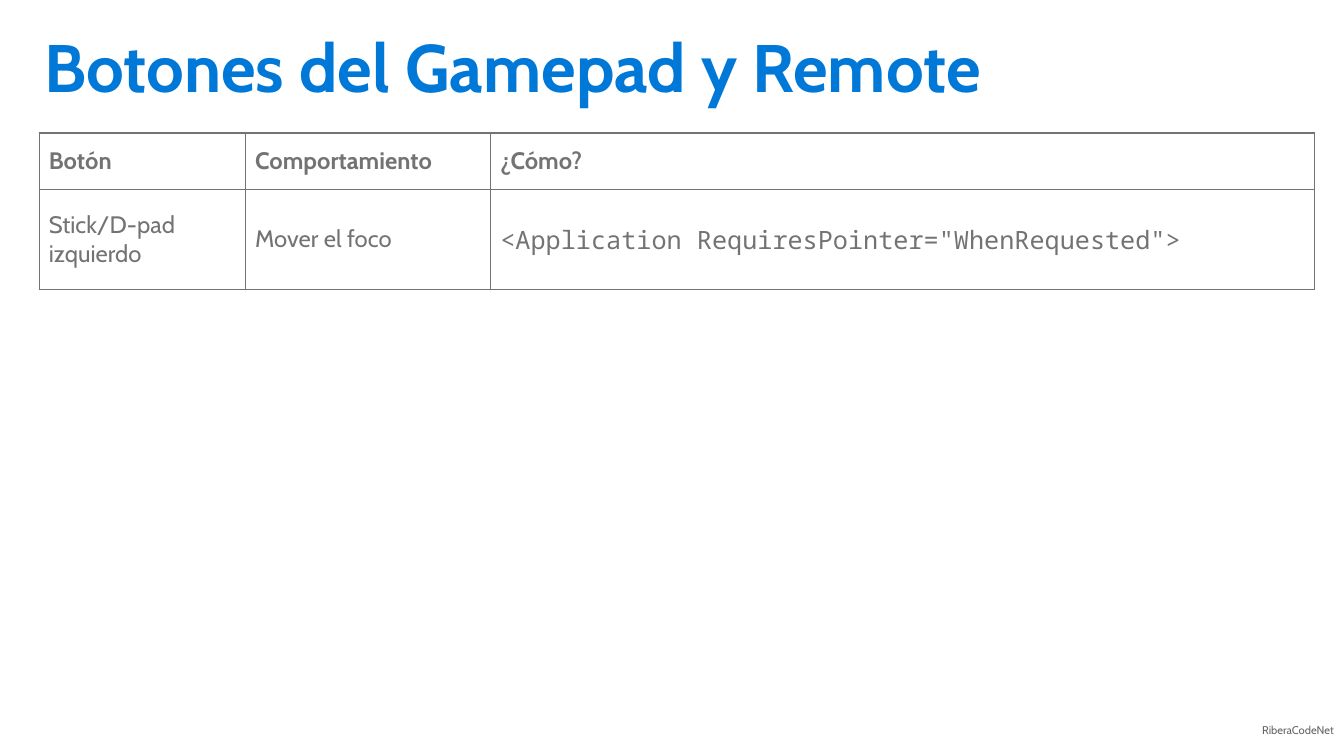
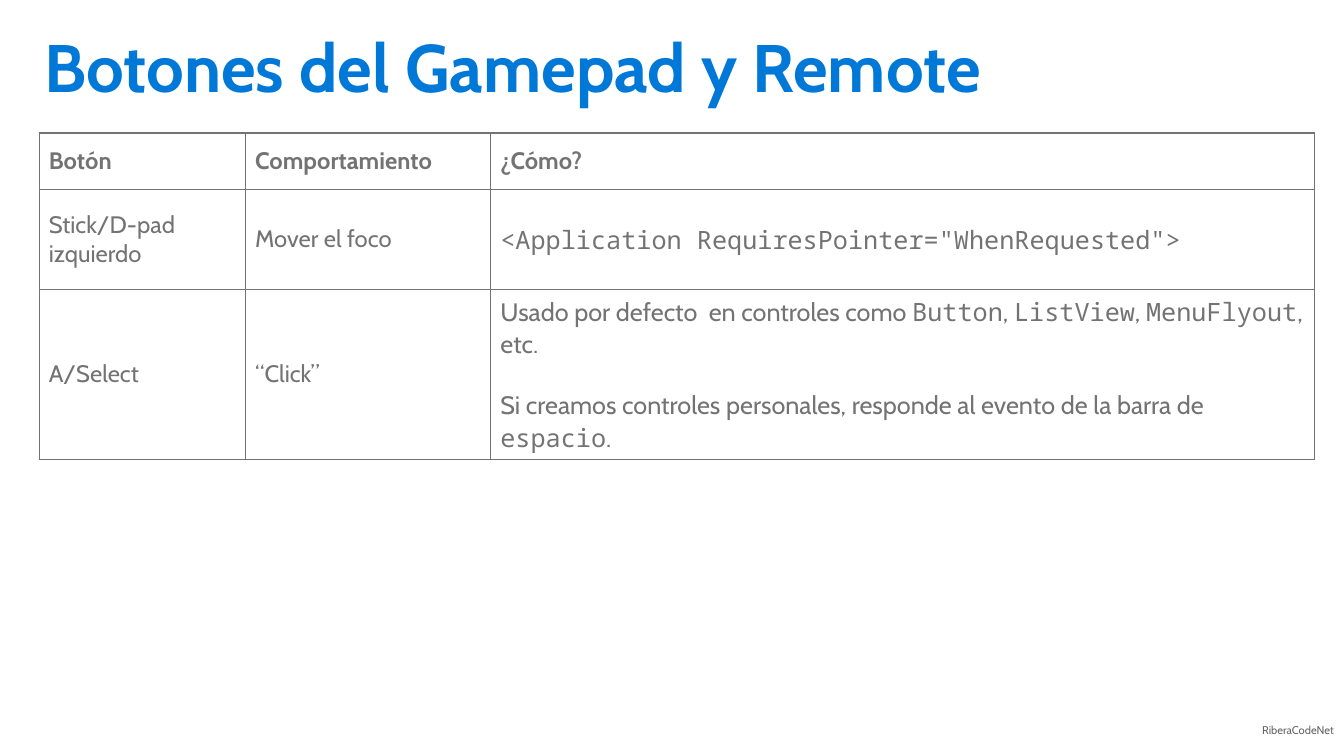
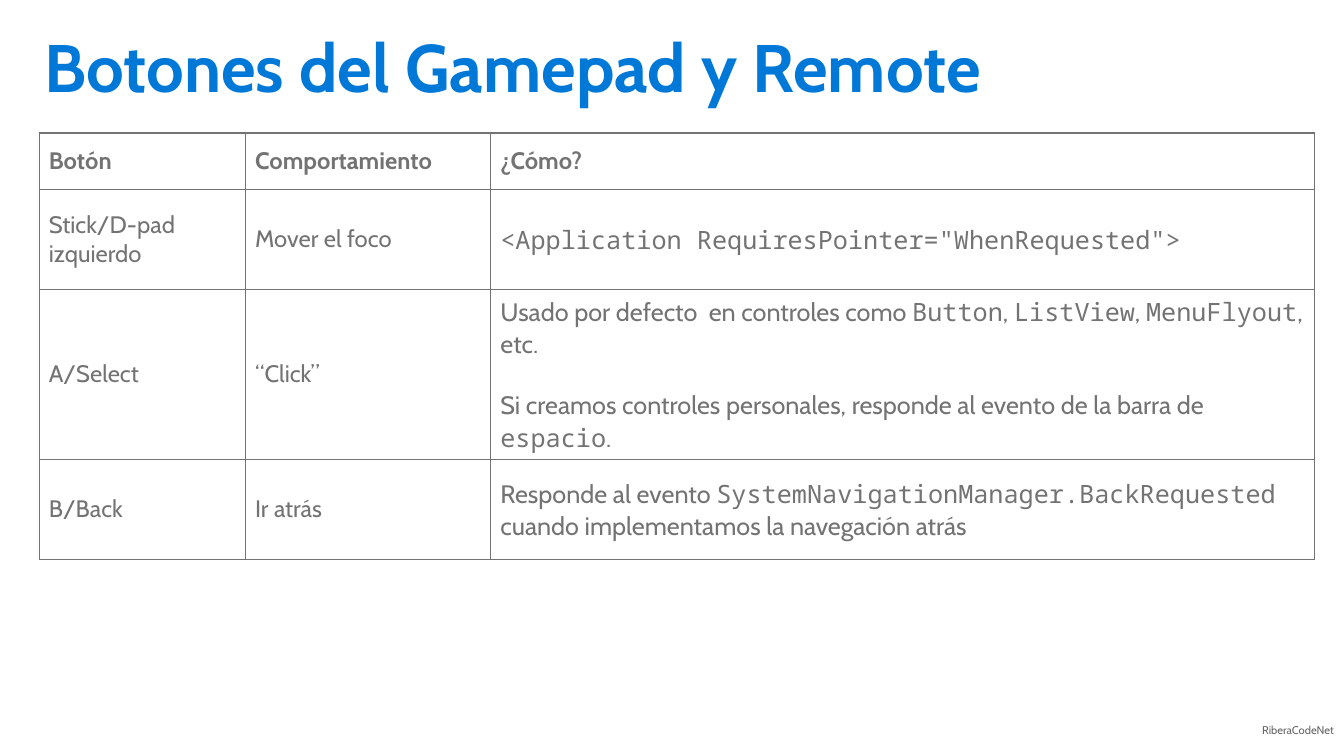
from dataclasses import dataclass

from lxml.etree import SubElement
from pptx import Presentation
from pptx.dml.color import RGBColor
from pptx.enum.text import MSO_ANCHOR, PP_ALIGN
from pptx.oxml.ns import qn
from pptx.util import Cm, Pt

TEXT_FONT = "Cabin"
CODE_FONT = "Noto Sans Mono"
BLUE = "0078D7"
GREY = "737373"
FOOTER_GREY = "666666"
TITLE = "Botones del Gamepad y Remote"
FOOTER = "RiberaCodeNet"
COLUMN_WIDTHS = (5.2, 6.18, 20.75)
BORDER_TAGS = ("a:lnL", "a:lnR", "a:lnT", "a:lnB")
BLANK_LAYOUT = 6


@dataclass(frozen=True)
class Piece:
    text: str
    size: float = 18
    font: str = TEXT_FONT
    color: str = GREY
    bold: bool = False


@dataclass(frozen=True)
class TableRow:
    height: float
    cells: tuple[list[list[Piece]], ...]


def label(text: str, bold: bool = False) -> list[list[Piece]]:
    return [[Piece(text, size=17, bold=bold)]]


def code(text: str) -> Piece:
    return Piece(text, font=CODE_FONT)


HEADER = TableRow(
    1.42,
    tuple(label(text, bold=True) for text in ("Botón", "Comportamiento", "¿Cómo?")),
)
BUTTON_ROWS = (
    TableRow(2.52, (
        label("Stick/D-pad izquierdo"),
        label("Mover el foco"),
        [[code('<Application RequiresPointer="WhenRequested">')]],
    )),
    TableRow(4.28, (
        label("A/Select"),
        label("“Click”"),
        [
            [
                Piece("Usado por defecto  en controles como "),
                code("Button"),
                Piece(", "),
                code("ListView"),
                Piece(", "),
                code("MenuFlyout"),
                Piece(", etc."),
            ],
            [
                Piece("Si creamos controles personales, responde al evento de la barra de "),
                code("espacio"),
                Piece("."),
            ],
        ],
    )),
    TableRow(2.52, (
        label("B/Back"),
        label("Ir atrás"),
        [[
            Piece("Responde al evento "),
            code("SystemNavigationManager.BackRequested "),
            Piece("cuando implementamos la navegación atrás"),
        ]],
    )),
)


def rgb(color: str) -> RGBColor:
    return RGBColor.from_string(color)


def add_pieces(paragraph, pieces: list[Piece]) -> None:
    for piece in pieces:
        run = paragraph.add_run()
        run.text = piece.text
        run.font.name = piece.font
        run.font.size = Pt(piece.size)
        run.font.bold = piece.bold
        run.font.color.rgb = rgb(piece.color)


def add_text(slide, left: float, top: float, width: float, height: float, piece: Piece):
    shape = slide.shapes.add_textbox(Cm(left), Cm(top), Cm(width), Cm(height))
    shape.text_frame.word_wrap = True
    add_pieces(shape.text_frame.paragraphs[0], [piece])
    return shape.text_frame


def add_title(slide) -> None:
    frame = add_text(slide, 0.74, 0.56, 32.36, 2.72,
                     Piece(TITLE, size=48, color=BLUE, bold=True))
    frame.margin_left = frame.margin_right = Cm(0.37)
    frame.margin_top = frame.margin_bottom = Cm(0.3)
    frame.paragraphs[0].line_spacing = 0.9


def add_footer(slide) -> None:
    frame = add_text(slide, 29.25, 18.11, 4.62, 0.84,
                     Piece(FOOTER, size=8, color=FOOTER_GREY))
    frame.paragraphs[0].alignment = PP_ALIGN.RIGHT


def add_borders(cell) -> None:
    properties = cell._tc.get_or_add_tcPr()
    for tag in BORDER_TAGS:
        line = SubElement(properties, qn(tag), w=str(Pt(1)))
        fill = SubElement(line, qn("a:solidFill"))
        SubElement(fill, qn("a:srgbClr"), val=GREY)


def fill_cell(cell, paragraphs: list[list[Piece]]) -> None:
    add_borders(cell)
    cell.fill.background()
    cell.vertical_anchor = MSO_ANCHOR.MIDDLE
    cell.margin_left = cell.margin_right = Cm(0.24)
    cell.margin_top = cell.margin_bottom = Cm(0.13)
    for index, pieces in enumerate(paragraphs):
        if index:
            paragraph = cell.text_frame.add_paragraph()
            paragraph.space_before = Pt(22)
        else:
            paragraph = cell.text_frame.paragraphs[0]
        add_pieces(paragraph, pieces)


def add_button_table(slide, rows: tuple[TableRow, ...]) -> None:
    width = sum(COLUMN_WIDTHS)
    height = sum(row.height for row in rows)
    table = slide.shapes.add_table(
        len(rows), len(COLUMN_WIDTHS), Cm(0.99), Cm(3.35), Cm(width), Cm(height)
    ).table
    table.first_row = False
    table.horz_banding = False
    for column, column_width in zip(table.columns, COLUMN_WIDTHS):
        column.width = Cm(column_width)
    for table_row, row in zip(table.rows, rows):
        table_row.height = Cm(row.height)
        for cell, paragraphs in zip(table_row.cells, row.cells):
            fill_cell(cell, paragraphs)


def main() -> None:
    presentation = Presentation()
    presentation.slide_width = Cm(33.87)
    presentation.slide_height = Cm(19.05)
    for shown in range(1, len(BUTTON_ROWS) + 1):
        slide = presentation.slides.add_slide(presentation.slide_layouts[BLANK_LAYOUT])
        add_footer(slide)
        add_title(slide)
        add_button_table(slide, (HEADER, *BUTTON_ROWS[:shown]))
    presentation.save("out.pptx")


if __name__ == "__main__":
    main()
